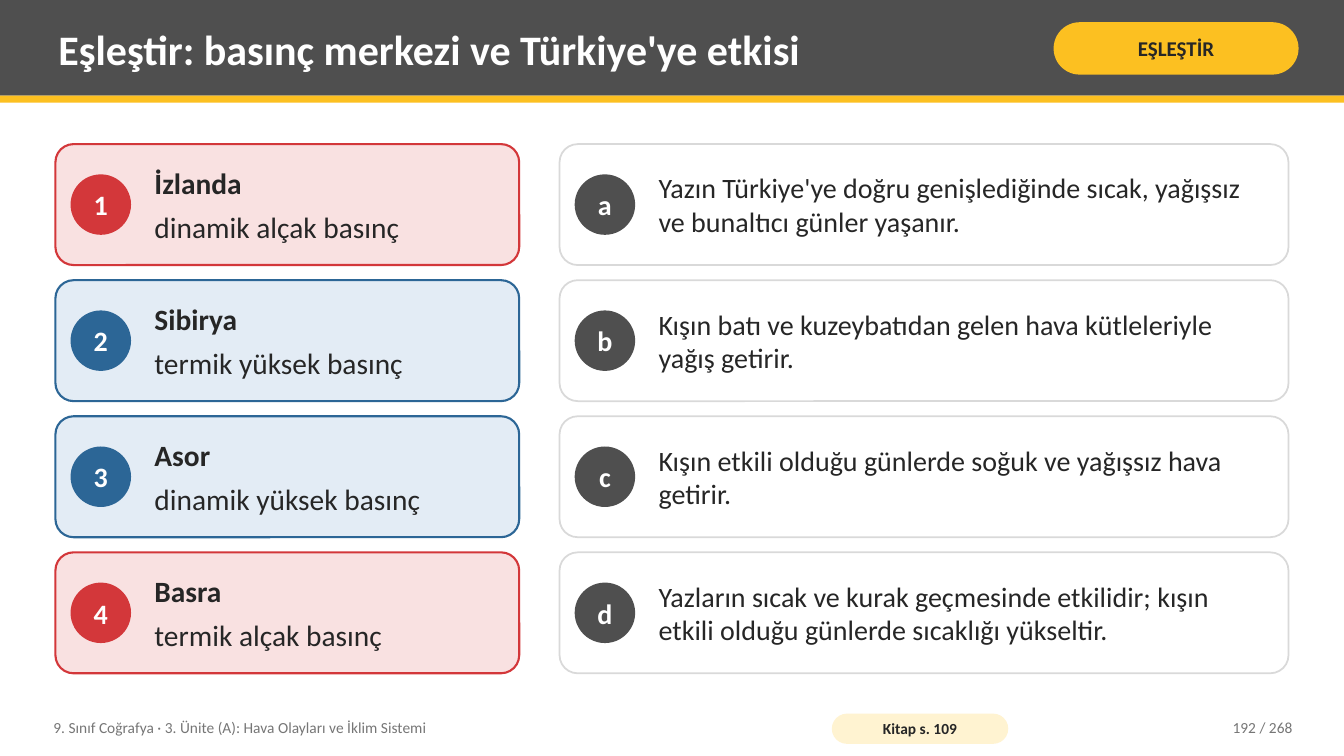
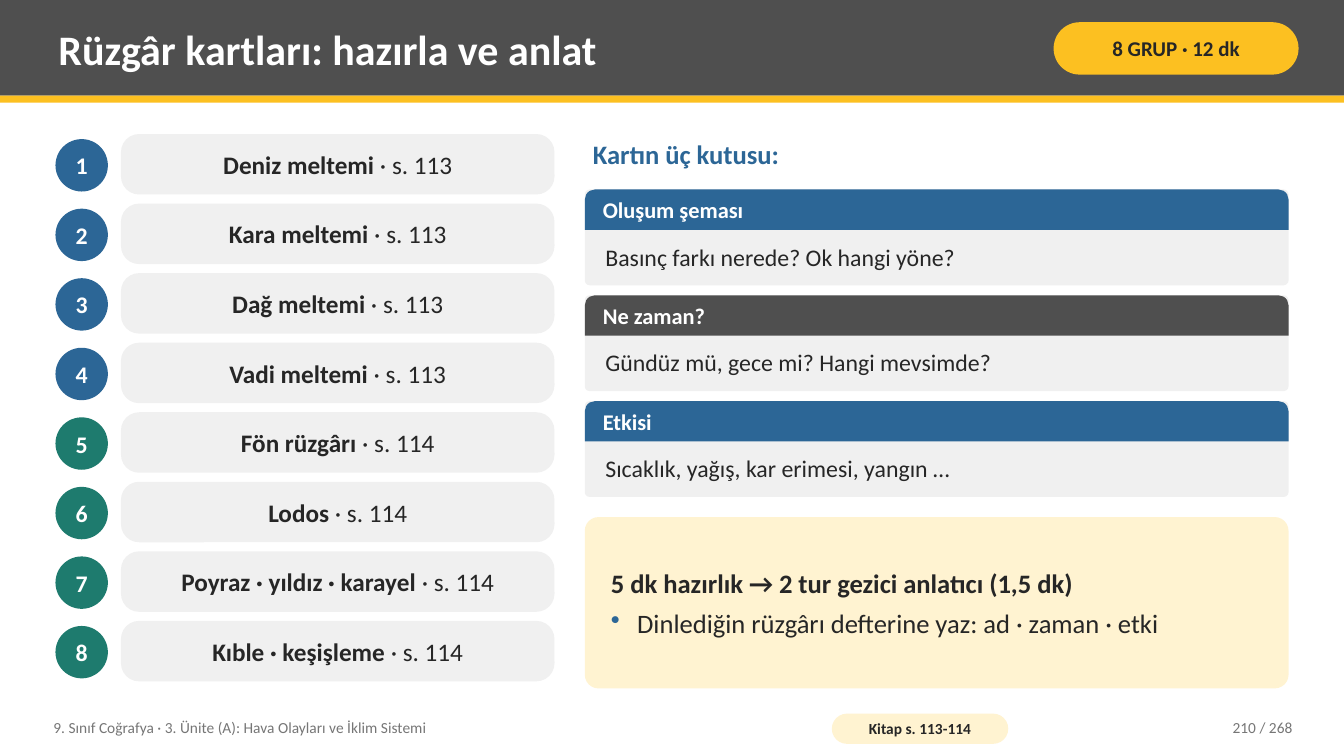
from lxml import etree
from pptx import Presentation
from pptx import util as u
from pptx.dml.color import RGBColor
from pptx.enum import shapes, text
from pptx.oxml import ns

GRAPHITE = RGBColor(0x4F, 0x4F, 0x4F)
YELLOW = RGBColor(0xFC, 0xC0, 0x21)
CREAM = RGBColor(0xFF, 0xF3, 0xD1)
INK = RGBColor(0x26, 0x26, 0x26)
MUTED = RGBColor(0x76, 0x76, 0x76)
WHITE = RGBColor(0xFF, 0xFF, 0xFF)
MIST = RGBColor(0xF0, 0xF0, 0xF0)
BORDER = RGBColor(0xD9, 0xD9, 0xD9)
RED = RGBColor(0xD3, 0x37, 0x3A)
PINK = RGBColor(0xF9, 0xE1, 0xE1)
BLUE = RGBColor(0x2C, 0x66, 0x96)
PALE_BLUE = RGBColor(0xE3, 0xEC, 0xF5)
GREEN = RGBColor(0x1E, 0x7B, 0x6E)

SHAPE = shapes.MSO_SHAPE
ALIGN = text.PP_ALIGN
ANCHOR = text.MSO_ANCHOR
INSETS = (0.08, 0.04, 0.08, 0.04)
UNIT = "9. Sınıf Coğrafya · 3. Ünite (A): Hava Olayları ve İklim Sistemi"
PAGE_TOTAL = 268


class Deck:
    font_name = "Calibri"

    def __init__(self):
        self.prs = Presentation()
        self.prs.slide_width = u.Inches(13.33)
        self.prs.slide_height = u.Inches(7.5)
        self.slide = None

    def fill_text(self, frame, paragraphs, size, color=INK, bold=False, align=ALIGN.LEFT,
                  anchor=ANCHOR.MIDDLE, insets=INSETS, wrap=True, gap=0):
        left, top, right, bottom = map(u.Inches, insets)
        frame_format = dict(margin_left=left, margin_top=top, margin_right=right,
                            margin_bottom=bottom, word_wrap=wrap,
                            auto_size=text.MSO_AUTO_SIZE.NONE, vertical_anchor=anchor)
        for name, value in frame_format.items():
            setattr(frame, name, value)
        for index, runs in enumerate(paragraphs):
            paragraph = frame.add_paragraph() if index else frame.paragraphs[0]
            paragraph.alignment = align
            if gap and index < len(paragraphs) - 1:
                paragraph.space_after = u.Pt(gap)
            for words, run_bold in runs:
                run = paragraph.add_run()
                run.text = words
                run_format = dict(name=self.font_name, size=u.Pt(size),
                                  bold=bold if run_bold is None else run_bold)
                for name, value in run_format.items():
                    setattr(run.font, name, value)
                run.font.color.rgb = color

    def line(self, frame, words, size, **style):
        self.fill_text(frame, [[(words, None)]], size, **style)

    def shape(self, kind, box, fill, border=None, weight=1.5, adjust=()):
        shape = self.slide.shapes.add_shape(kind, *map(u.Inches, box))
        shape.shadow.inherit = False
        shape.fill.solid()
        shape.fill.fore_color.rgb = fill
        if border is None:
            shape.line.fill.background()
        else:
            shape.line.color.rgb = border
            shape.line.width = u.Pt(weight)
        for index, value in enumerate(adjust):
            shape.adjustments[index] = value
        return shape

    def rounded(self, box, fill, radius, **style):
        return self.shape(SHAPE.ROUNDED_RECTANGLE, box, fill, adjust=(radius,), **style)

    def label(self, box, words, size, **style):
        area = self.slide.shapes.add_textbox(*map(u.Inches, box))
        self.line(area.text_frame, words, size, **style)

    def pill(self, box, words, size, fill, insets):
        pill = self.rounded(box, fill, 0.5)
        self.line(pill.text_frame, words, size, bold=True, align=ALIGN.CENTER, insets=insets)

    def badge(self, left, top, diameter, mark, size, fill):
        badge = self.shape(SHAPE.OVAL, (left, top, diameter, diameter), fill)
        self.line(badge.text_frame, mark, size, color=WHITE, bold=True,
                  align=ALIGN.CENTER, insets=(0, 0, 0, 0), wrap=False)

    def card(self, left, top, width, mark, paragraphs, size, fill, border, accent,
             weight=1.5):
        card = self.rounded((left, top, width, 1.2), fill, 0.15, border=border, weight=weight)
        self.fill_text(card.text_frame, paragraphs, size,
                       insets=(0.93, 0.04, 0.15, 0.04), gap=6)
        self.badge(left + 0.15, top + 0.3, 0.6, mark, 20, accent)

    def panel(self, left, top, width, heading, question, accent):
        body = self.rounded((left, top, width, 0.95), MIST, 0.05)
        self.line(body.text_frame, question, 17, anchor=ANCHOR.TOP,
                  insets=(0.19, 0.51, 0.19, 0))
        header = self.shape(SHAPE.ROUND_2_SAME_RECTANGLE, (left, top, width, 0.4), accent,
                            adjust=(0.25, 0))
        self.line(header.text_frame, heading, 16, color=WHITE, bold=True,
                  insets=(0.15, 0, 0.15, 0.03))

    def bullet(self, paragraph, color, indent):
        properties = paragraph._p.get_or_add_pPr()
        properties.set("marL", str(u.Inches(indent)))
        properties.set("indent", str(-u.Inches(indent)))
        tint = etree.SubElement(properties, ns.qn("a:buClr"))
        etree.SubElement(tint, ns.qn("a:srgbClr")).set("val", str(color))
        etree.SubElement(properties, ns.qn("a:buChar")).set("char", "•")

    def start(self, heading, tag, book_pages, page):
        self.slide = self.prs.slides.add_slide(self.prs.slide_layouts[5])
        self.shape(SHAPE.RECTANGLE, (0, 0, 13.33, 0.95), GRAPHITE)
        self.shape(SHAPE.RECTANGLE, (0, 0.95, 13.33, 0.07), YELLOW)
        title = self.slide.shapes.title
        title.element.getparent().append(title.element)
        place = dict(left=0.5, top=0.07, width=9.75, height=0.82)
        for name, value in place.items():
            setattr(title, name, u.Inches(value))
        self.line(title.text_frame, heading, 30, color=WHITE, bold=True)
        self.pill((10.45, 0.22, 2.43, 0.52), tag, 15, YELLOW, (0.05, 0.02, 0.05, 0.02))
        self.label((0.45, 7.04, 7.6, 0.36), UNIT, 11, color=MUTED)
        self.pill((8.25, 7.08, 1.75, 0.3), f"Kitap s. {book_pages}", 11, CREAM,
                  (0.04, 0, 0.04, 0))
        self.label((11.3, 7.04, 1.6, 0.36), f"{page} / {PAGE_TOTAL}", 11, color=MUTED,
                   align=ALIGN.RIGHT)


def matching_slide(deck):
    deck.start("Eşleştir: basınç merkezi ve Türkiye'ye etkisi", "EŞLEŞTİR", "109", 192)
    low, high = (PINK, RED, RED), (PALE_BLUE, BLUE, BLUE)
    pairs = [
        ("İzlanda", "dinamik alçak basınç", low,
         "Yazın Türkiye'ye doğru genişlediğinde sıcak, yağışsız ve bunaltıcı günler yaşanır."),
        ("Sibirya", "termik yüksek basınç", high,
         "Kışın batı ve kuzeybatıdan gelen hava kütleleriyle yağış getirir."),
        ("Asor", "dinamik yüksek basınç", high,
         "Kışın etkili olduğu günlerde soğuk ve yağışsız hava getirir."),
        ("Basra", "termik alçak basınç", low,
         "Yazların sıcak ve kurak geçmesinde etkilidir; kışın etkili olduğu günlerde "
         "sıcaklığı yükseltir."),
    ]
    for row, (center, pressure, palette, effect) in enumerate(pairs):
        top = 1.43 + 1.35 * row
        deck.card(0.55, top, 4.6, str(row + 1), [[(center, True)], [(pressure, False)]],
                  21, *palette)
        deck.card(5.55, top, 7.23, "abcd"[row], [[(effect, False)]], 20,
                  WHITE, BORDER, GRAPHITE, weight=1.25)


def wind_cards_slide(deck):
    deck.start("Rüzgâr kartları: hazırla ve anlat", "8 GRUP · 12 dk", "113-114", 210)
    winds = ["Deniz meltemi", "Kara meltemi", "Dağ meltemi", "Vadi meltemi",
             "Fön rüzgârı", "Lodos", "Poyraz · yıldız · karayel", "Kıble · keşişleme"]
    for row, wind in enumerate(winds):
        top = 1.33 + 0.69 * row
        accent, book_page = (BLUE, 113) if row < 4 else (GREEN, 114)
        deck.badge(0.55, top + 0.05, 0.52, str(row + 1), 17, accent)
        strip = deck.rounded((1.2, top, 4.3, 0.6), MIST, 0.3)
        deck.fill_text(strip.text_frame, [[(wind, True), (f" · s. {book_page}", False)]], 18,
                       align=ALIGN.CENTER, insets=(0.06, 0, 0.06, 0))

    left, width = 5.8, 6.98
    deck.label((left, 1.33, width, 0.45), "Kartın üç kutusu:", 19, color=BLUE, bold=True,
               anchor=ANCHOR.TOP)
    boxes = [
        ("Oluşum şeması", "Basınç farkı nerede? Ok hangi yöne?", BLUE),
        ("Ne zaman?", "Gündüz mü, gece mi? Hangi mevsimde?", GRAPHITE),
        ("Etkisi", "Sıcaklık, yağış, kar erimesi, yangın …", BLUE),
    ]
    for row, box in enumerate(boxes):
        deck.panel(left, 1.88 + 1.05 * row, width, *box)

    task = deck.rounded((left, 5.13, width, 1.7), CREAM, 0.08).text_frame
    deck.fill_text(task, [[("5 dk hazırlık → 2 tur gezici anlatıcı (1,5 dk)", True)],
                          [("Dinlediğin rüzgârı defterine yaz: ad · zaman · etki", False)]],
                   19, insets=(0.22, 0.08, 0.22, 0.08), gap=6)
    deck.bullet(task.paragraphs[1], BLUE, 0.26)


def main():
    deck = Deck()
    matching_slide(deck)
    wind_cards_slide(deck)
    deck.prs.save("out.pptx")


if __name__ == "__main__":
    main()
